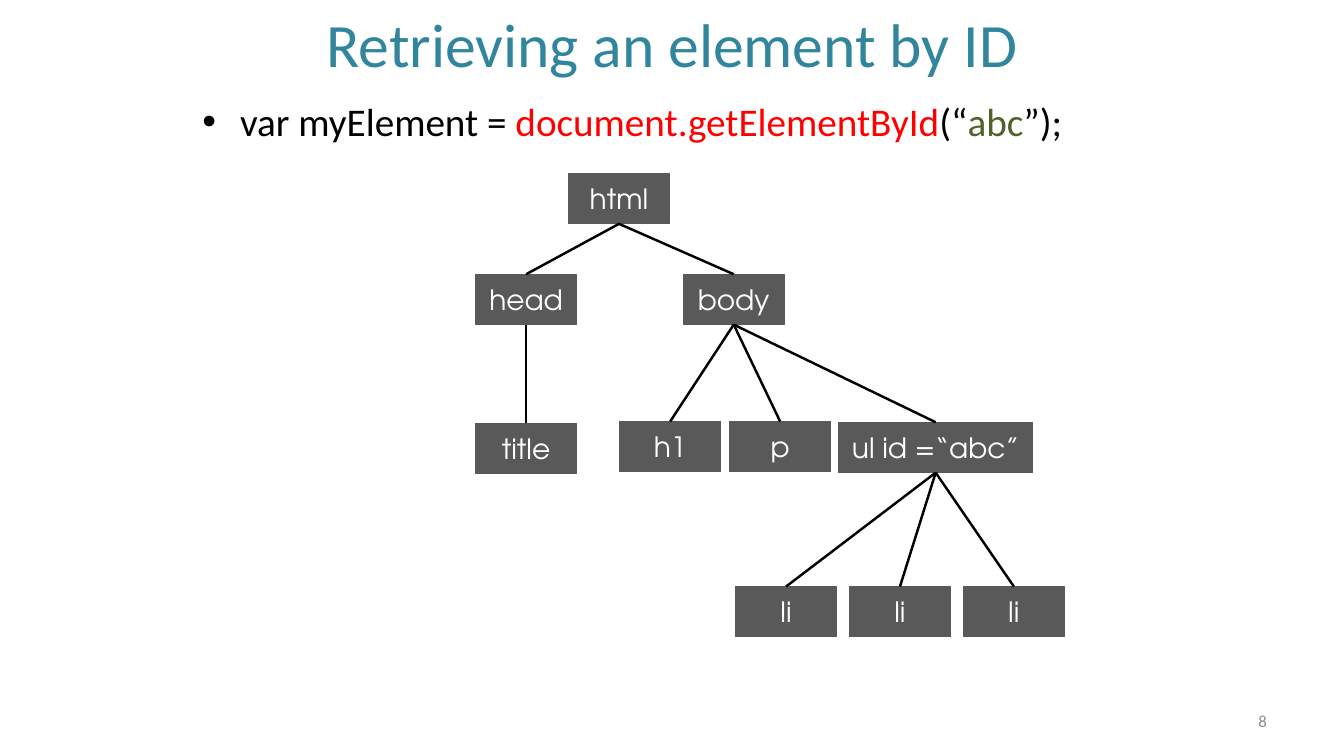
from dataclasses import dataclass
from typing import Optional

from lxml.etree import SubElement
from pptx import Presentation
from pptx.dml.color import RGBColor
from pptx.enum.shapes import MSO_CONNECTOR, MSO_SHAPE
from pptx.enum.text import MSO_ANCHOR, PP_ALIGN
from pptx.oxml.ns import qn
from pptx.shapes.autoshape import Shape
from pptx.slide import Slide
from pptx.text.text import _Paragraph as Paragraph
from pptx.util import Cm, Pt

TEAL = RGBColor(0x31, 0x85, 0x9C)
BLACK = RGBColor(0x00, 0x00, 0x00)
RED = RGBColor(0xFF, 0x00, 0x00)
OLIVE = RGBColor(0x4F, 0x62, 0x28)
GRAY = RGBColor(0x8C, 0x8C, 0x8C)
DARK_GRAY = RGBColor(0x59, 0x59, 0x59)
WHITE = RGBColor(0xFF, 0xFF, 0xFF)

NODE_WIDTH = 2.54
NODE_HEIGHT = 1.27
ITEM_LEFT = 18.54
ITEM_STEP = 2.87
ITEM_TOP = 14.78
BOTTOM_SIDE = 2
TOP_SIDE = 0


@dataclass(frozen=True)
class Run:
    text: str
    color: RGBColor


@dataclass(frozen=True)
class TextBlock:
    left: float
    top: float
    width: float
    height: float
    size: float
    alignment: PP_ALIGN
    anchor: MSO_ANCHOR
    runs: tuple[Run, ...]
    bulleted: bool = False


@dataclass(frozen=True)
class Node:
    key: str
    label: str
    left: float
    top: float
    parent: Optional[str] = None
    width: float = NODE_WIDTH


TEXT_BLOCKS = (
    TextBlock(6.15, -0.08, 21.59, 2.34, 44, PP_ALIGN.CENTER, MSO_ANCHOR.MIDDLE,
              (Run("Retrieving an element by ID", TEAL),)),
    TextBlock(4.85, 2.34, 24.13, 14.6, 28, PP_ALIGN.LEFT, MSO_ANCHOR.TOP,
              (Run("var myElement = ", BLACK),
               Run("document.getElementById", RED),
               Run("(“", BLACK),
               Run("abc", OLIVE),
               Run("”);", BLACK)), bulleted=True),
    TextBlock(24.28, 17.65, 7.9, 1.02, 12, PP_ALIGN.RIGHT, MSO_ANCHOR.MIDDLE,
              (Run("8", GRAY),)),
)

NODES = (
    Node("html", "html", 14.33, 4.37),
    Node("head", "head", 11.99, 6.91, "html"),
    Node("body", "body", 17.22, 6.91, "html"),
    Node("title", "title", 11.99, 10.67, "head"),
    Node("h1", "h1", 15.62, 10.62, "body"),
    Node("p", "p", 18.39, 10.62, "body"),
    Node("ul", "ul id =“abc”", 21.13, 10.64, "body", 4.9),
    *(Node(f"li{index}", "li", ITEM_LEFT + index * ITEM_STEP, ITEM_TOP, "ul")
      for index in range(3)),
)


def apply_format(target: object, values: dict[str, object]) -> None:
    for name, value in values.items():
        setattr(target, name, value)


def add_runs(paragraph: Paragraph, runs: tuple[Run, ...], font_name: str, size: float) -> None:
    for item in runs:
        run = paragraph.add_run()
        run.text = item.text
        apply_format(run.font, {"name": font_name, "size": Pt(size)})
        run.font.color.rgb = item.color


def add_bullet(paragraph: Paragraph) -> None:
    properties = paragraph._p.get_or_add_pPr()
    properties.set("marL", str(Cm(0.95)))
    properties.set("indent", str(Cm(-0.95)))
    SubElement(properties, qn("a:buFont"), typeface="Arial")
    SubElement(properties, qn("a:buChar"), char="•")


def add_text_block(slide: Slide, block: TextBlock) -> None:
    shape = slide.shapes.add_textbox(
        Cm(block.left), Cm(block.top), Cm(block.width), Cm(block.height))
    frame = shape.text_frame
    apply_format(frame, {"word_wrap": True, "vertical_anchor": block.anchor})
    paragraph = frame.paragraphs[0]
    paragraph.alignment = block.alignment
    if block.bulleted:
        add_bullet(paragraph)
    add_runs(paragraph, block.runs, "Calibri", block.size)


def add_node(slide: Slide, node: Node) -> Shape:
    shape = slide.shapes.add_shape(
        MSO_SHAPE.RECTANGLE, Cm(node.left), Cm(node.top), Cm(node.width), Cm(NODE_HEIGHT))
    shape.shadow.inherit = False
    shape.fill.solid()
    shape.fill.fore_color.rgb = DARK_GRAY
    shape.line.color.rgb = DARK_GRAY
    shape.line.width = Pt(0.75)
    frame = shape.text_frame
    apply_format(frame, {"word_wrap": True, "vertical_anchor": MSO_ANCHOR.MIDDLE})
    paragraph = frame.paragraphs[0]
    paragraph.alignment = PP_ALIGN.CENTER
    add_runs(paragraph, (Run(node.label, WHITE),), "TeX Gyre Adventor", 20)
    return shape


def add_branch(slide: Slide, parent: Shape, child: Shape) -> None:
    connector = slide.shapes.add_connector(MSO_CONNECTOR.STRAIGHT, 0, 0, 0, 0)
    connector.begin_connect(parent, BOTTOM_SIDE)
    connector.end_connect(child, TOP_SIDE)
    connector.line.color.rgb = BLACK
    connector.line.width = Pt(1.75)
    SubElement(connector._element.spPr, qn("a:effectLst"))


def main() -> None:
    presentation = Presentation()
    apply_format(presentation, {"slide_width": Cm(33.87), "slide_height": Cm(19.05)})
    slide = presentation.slides.add_slide(presentation.slide_layouts[6])
    for block in TEXT_BLOCKS:
        add_text_block(slide, block)
    shapes = {node.key: add_node(slide, node) for node in NODES}
    for node in NODES:
        if node.parent:
            add_branch(slide, shapes[node.parent], shapes[node.key])
    presentation.save("out.pptx")


if __name__ == "__main__":
    main()
